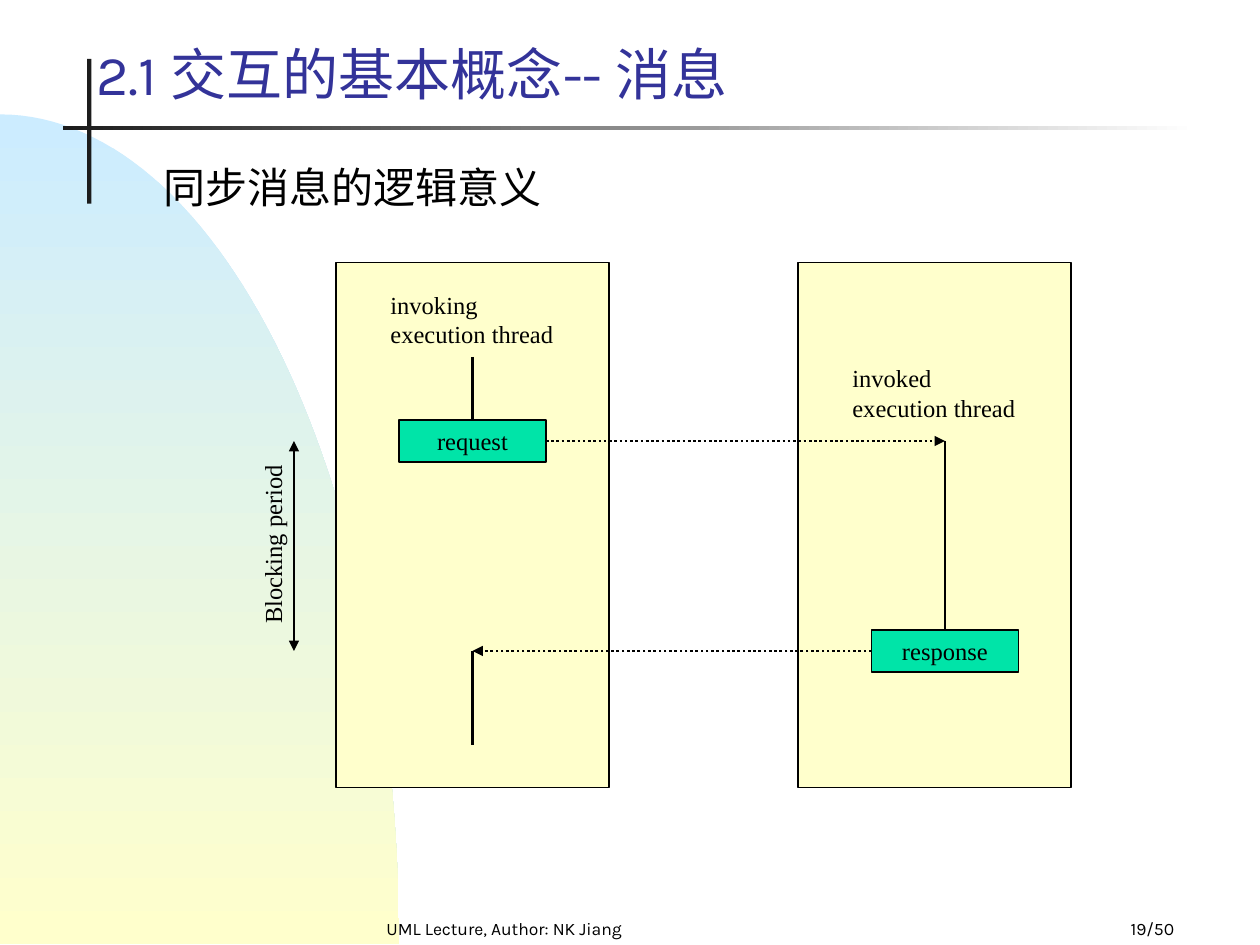
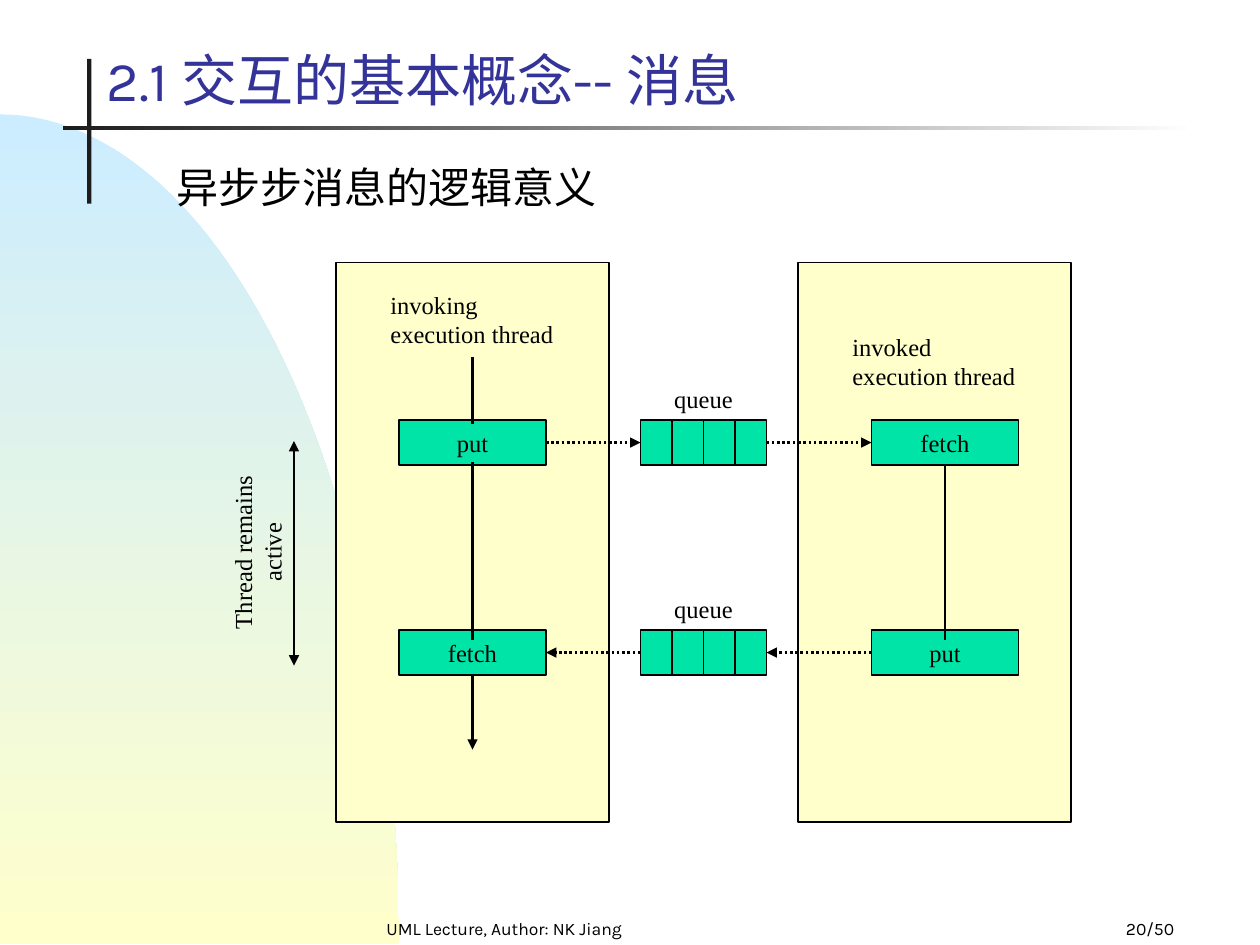
from dataclasses import dataclass
from math import cos, pi, sin

from lxml.etree import SubElement
from pptx import Presentation
from pptx.dml.color import RGBColor as Rgb
from pptx.enum.dml import MSO_LINE as Dash
from pptx.enum.shapes import MSO_CONNECTOR as Connector, MSO_SHAPE as Shape
from pptx.enum.text import MSO_ANCHOR as Anchor, PP_ALIGN as Align
from pptx.oxml.ns import qn
from pptx.util import Emu, Inches, Pt


@dataclass(frozen=True)
class Theme:
    ink: Rgb = Rgb(0x00, 0x00, 0x00)
    title: Rgb = Rgb(0x33, 0x33, 0x99)
    rule: Rgb = Rgb(0x1C, 0x1C, 0x1C)
    white: Rgb = Rgb(0xFF, 0xFF, 0xFF)
    sky: Rgb = Rgb(0xCC, 0xEC, 0xFF)
    cream: Rgb = Rgb(0xFF, 0xFF, 0xCC)
    green: Rgb = Rgb(0x00, 0xE4, 0xA8)
    heading_font: str = "Karla"
    diagram_font: str = "Times New Roman"
    title_size: int = 32
    subtitle_size: int = 24
    diagram_size: int = 14
    footer_size: int = 10


theme = Theme()
deck = Presentation()
deck.slide_width, deck.slide_height = Inches(10), Inches(7.5)

# Grid of 120 columns by 90 rows
CELL = deck.slide_width / 120
TOP, LEFT, BOTTOM, RIGHT = range(4)


def add_box(shapes, at, text="", fill=None, outline=True, size=theme.diagram_size,
            font=theme.diagram_font, color=theme.ink, align=Align.LEFT,
            anchor=Anchor.TOP):
    """Add a rectangle, or a plain text box when there is no fill."""
    frame = [Emu(round(value * CELL)) for value in at]
    if fill is None:
        box = shapes.add_textbox(*frame)
    else:
        box = shapes.add_shape(Shape.RECTANGLE, *frame)
        box.shadow.inherit = False
        box.fill.solid()
        box.fill.fore_color.rgb = fill
        if outline:
            box.line.color.rgb = theme.ink
            box.line.width = Pt(1)
        else:
            box.line.fill.background()
        align, anchor = Align.CENTER, Anchor.MIDDLE
    if text:
        box.text_frame.text = text
        box.text_frame.word_wrap = True
        box.text_frame.vertical_anchor = anchor
        for para in box.text_frame.paragraphs:
            para.alignment = align
            for span in para.runs:
                span.font.name = font
                span.font.size = Pt(size)
                span.font.color.rgb = color
    return box


def add_line(shapes, start, end, width=1.5, dotted=False, arrows=()):
    """Draw a line; each end is a (column, row) point or a (box, side) joint."""
    joints = [not isinstance(point[0], (int, float)) for point in (start, end)]
    ends = [(0, 0) if joint else point for joint, point in zip(joints, (start, end))]
    line = shapes.add_connector(
        Connector.STRAIGHT, *[Emu(round(value * CELL)) for point in ends for value in point])
    if joints[0]:
        line.begin_connect(*start)
    if joints[1]:
        line.end_connect(*end)
    line.line.color.rgb = theme.ink
    line.line.width = Pt(width)
    if dotted:
        line.line.dash_style = Dash.ROUND_DOT
    for arrow in arrows:
        SubElement(line.line._get_or_add_ln(), qn(f"a:{arrow}"), type="triangle")
    SubElement(line._element.spPr, qn("a:effectLst"))


# Parts shared by both slides: title, subtitle, panels and thread labels
slides = [
    dict(title_at=(8, 2.5, 84, 9), subtitle="同步消息的逻辑意义", subtitle_width=39.7,
         number="19/50", panel_height=50, invoked_row=34),
    dict(title_at=(9, 3, 85, 9), subtitle="异步步消息的逻辑意义", subtitle_width=46.3,
         number="20/50", panel_height=53.3, invoked_row=31),
]
pages = []
for content in slides:
    page = deck.slides.add_slide(deck.slide_layouts[6])
    pages.append(page)
    shapes = page.shapes

    # Quarter ellipse in the background
    angles = [step / 60 * pi / 2 for step in range(61)]
    curve = [(38 * CELL * sin(angle), (89.9 - 79 * cos(angle)) * CELL) for angle in angles]
    builder = shapes.build_freeform(*curve[0])
    builder.add_line_segments(curve[1:] + [(0, 89.9 * CELL)], close=True)
    backdrop = builder.convert_to_shape()
    backdrop.shadow.inherit = False
    backdrop.line.fill.background()

    # Crossed rules beside and below the title
    add_box(shapes, (8.3, 5.6, 0.4, 13.8), fill=theme.rule, outline=False)
    underline = add_box(shapes, (6, 12, 108, 0.4), fill=theme.rule, outline=False)
    for shape, colors, angle in ((backdrop, (theme.sky, theme.cream), 270),
                                 (underline, (theme.rule, theme.white), 0)):
        shape.fill.gradient()
        shape.fill.gradient_angle = angle
        for stop, color in zip(shape.fill.gradient_stops, colors):
            stop.color.rgb = color

    # Title, subtitle and footers
    add_box(shapes, content["title_at"], "2.1 交互的基本概念-- 消息", size=theme.title_size,
            font=theme.heading_font, color=theme.title, anchor=Anchor.MIDDLE)
    add_box(shapes, (13.7, 14.8, content["subtitle_width"], 6), content["subtitle"],
            size=theme.subtitle_size, font=theme.heading_font, align=Align.CENTER)
    for at, text, align in (((29, 86, 38, 4), "UML Lecture, Author: NK Jiang", Align.CENTER),
                            ((88, 86, 25, 4), content["number"], Align.RIGHT)):
        add_box(shapes, at, text, size=theme.footer_size, font=theme.heading_font,
                align=align, anchor=Anchor.BOTTOM)

    # Thread panels
    for column, row, role in ((32, 27, "invoking"), (76, content["invoked_row"], "invoked")):
        add_box(shapes, (column, 25, 26, content["panel_height"]), fill=theme.cream)
        add_box(shapes, (column + 4, row, 20, 6.8), f"{role}\nexecution thread")

# Slide 1: synchronous message
shapes = pages[0].shapes
request = add_box(shapes, (38, 40, 14, 4), "request", fill=theme.green)
response = add_box(shapes, (83, 60, 14, 4), "response", fill=theme.green)
add_line(shapes, (45, 34), (request, TOP))
add_line(shapes, (request, RIGHT), (90, 42), dotted=True, arrows=["tailEnd"])
add_line(shapes, (90, 42), (response, TOP))
add_line(shapes, (response, LEFT), (45, 62), dotted=True, arrows=["tailEnd"])
add_line(shapes, (45, 62), (45, 71))
add_line(shapes, (28, 42), (28, 62), arrows=["headEnd", "tailEnd"])
period = add_box(shapes, (16, 49.8, 20, 4.1), "Blocking period", align=Align.CENTER)
period.rotation = 270

# Slide 2: asynchronous message, one queue for each direction
shapes = pages[1].shapes
rows = []
for row, left_text, right_text in ((40, "put", "fetch"), (60, "fetch", "put")):
    left = add_box(shapes, (38, row, 14, 4.3), left_text, fill=theme.green)
    right = add_box(shapes, (83, row, 14, 4.3), right_text, fill=theme.green)
    group = shapes.add_group_shape()
    queue = add_box(group.shapes, (61, row, 12, 4.3), fill=theme.green)
    for column in (64, 67, 70):
        add_line(group.shapes, (column, row), (column, row + 4.3), width=1)
    add_box(shapes, (61, row - 4, 12, 4), "queue", align=Align.CENTER)
    rows.append((left, queue, right))

(put, out_queue, fetch), (reply_fetch, back_queue, reply_put) = rows
for start, end in (((put, RIGHT), (out_queue, LEFT)),
                   ((out_queue, RIGHT), (fetch, LEFT)),
                   ((reply_put, LEFT), (back_queue, RIGHT)),
                   ((back_queue, LEFT), (reply_fetch, RIGHT))):
    add_line(shapes, start, end, dotted=True, arrows=["tailEnd"])
add_line(shapes, (45, 34), (45, 40.4))
add_line(shapes, (45, 44), (45, 61))
add_line(shapes, (fetch, BOTTOM), (90, 61))
add_line(shapes, (reply_fetch, BOTTOM), (45, 71.4), arrows=["tailEnd"])
add_line(shapes, (28, 42), (28, 63.4), arrows=["headEnd", "tailEnd"])
active = add_box(shapes, (14.5, 49.2, 20, 6.8), "Thread remains\nactive", align=Align.CENTER)
active.rotation = 270

deck.save("out.pptx")
